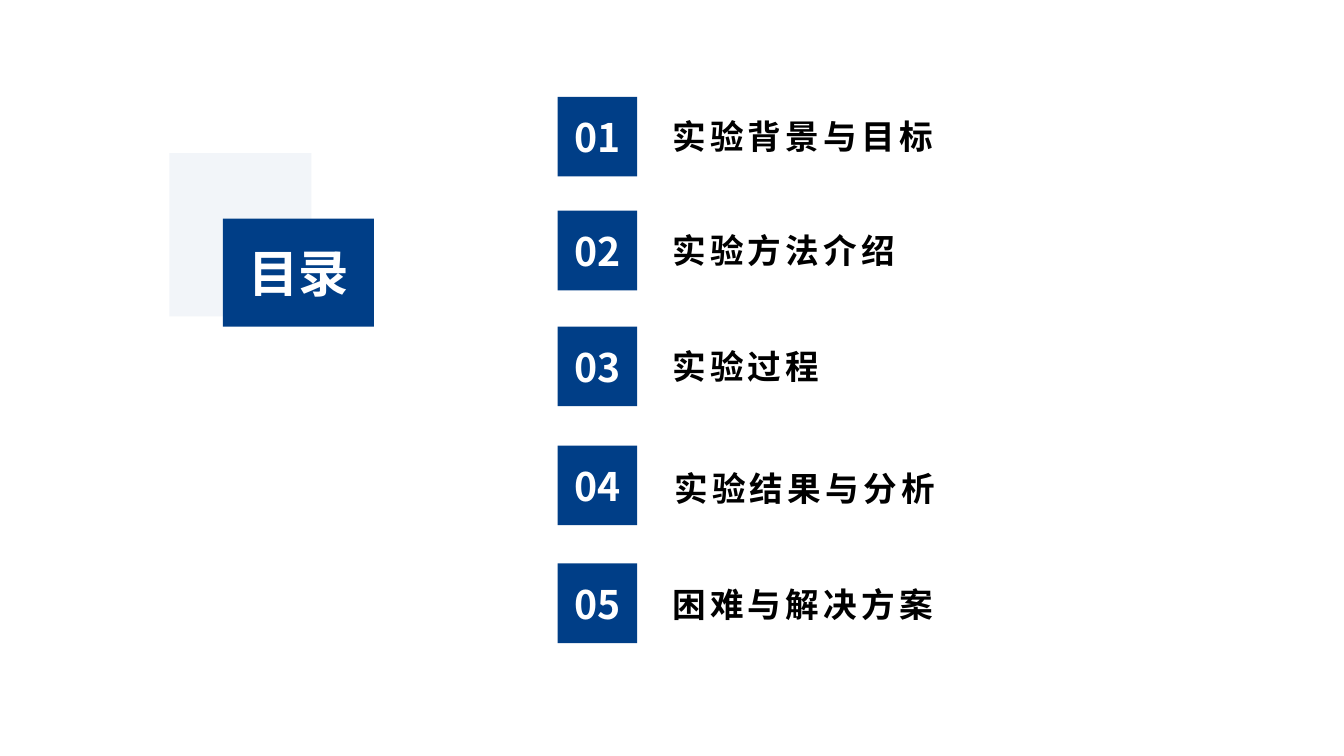
from dataclasses import dataclass

from lxml import etree
from pptx import Presentation
from pptx import util as u
from pptx.dml.color import RGBColor
from pptx.enum import shapes, text
from pptx.oxml.ns import qn

PX = u.Inches(1) // 100


@dataclass(frozen=True)
class Theme:
    font: str = "Noto Sans CJK SC"
    blue: str = "003E87"
    pale: str = "F2F5F9"
    white: str = "FFFFFF"
    black: str = "000000"
    title_size: int = 36
    number_size: int = 28
    label_size: int = 24
    label_spacing: int = 300  # hundredths of a point


THEME = Theme()

# square top, label left, label top, label width, label
CHAPTERS = [
    (96, 657, 110, 283, "实验背景与目标"),
    (209, 657, 223, 322, "实验方法介绍"),
    (324, 657, 338, 320, "实验过程"),
    (442, 659, 459, 320, "实验结果与分析"),
    (559, 657, 574, 357, "困难与解决方案"),
]


def px(*lengths):
    return [length * PX for length in lengths]


def write(shape, words, size, color, align, anchor, spacing=0):
    frame = shape.text_frame
    frame.word_wrap = True
    frame.auto_size = text.MSO_AUTO_SIZE.NONE
    frame.vertical_anchor = anchor
    frame.text = words
    paragraph = frame.paragraphs[0]
    paragraph.alignment = align
    paragraph.line_spacing = 1.0
    paragraph.space_before = u.Pt(0)
    font = paragraph.font
    font.name = THEME.font
    font.size = u.Pt(size)
    font.bold = True
    font.color.rgb = RGBColor.from_string(color)
    properties = paragraph._p.pPr.find(qn("a:defRPr"))
    latin = properties.find(qn("a:latin"))
    east_asian = etree.Element(qn("a:ea"), typeface=THEME.font)
    latin.addnext(east_asian)
    if spacing:
        properties.set("spc", str(spacing))


def add_block(slide, box, color):
    shape = slide.shapes.add_shape(shapes.MSO_SHAPE.RECTANGLE, *px(*box))
    shape.shadow.inherit = False
    shape.fill.solid()
    shape.fill.fore_color.rgb = RGBColor.from_string(color)
    shape.line.fill.background()
    return shape


def add_heading(slide, left, top):
    add_block(slide, (left, top, 141, 162), THEME.pale)
    add_block(slide, (left + 53, top + 65, 150, 107), THEME.blue)
    title = slide.shapes.title
    title.left, title.top, title.width, title.height = px(left + 35, top + 53, 186, 131)
    write(title, "目录", THEME.title_size, THEME.white,
          text.PP_ALIGN.CENTER, text.MSO_ANCHOR.MIDDLE)
    # The title has to lie in front of its blocks.
    slide.shapes._spTree.append(title._element)


def add_chapter(slide, number, square_box, label_box, label):
    square = add_block(slide, square_box, THEME.blue)
    write(square, f"{number:02}", THEME.number_size, THEME.white,
          text.PP_ALIGN.CENTER, text.MSO_ANCHOR.MIDDLE)
    label_shape = slide.shapes.add_textbox(*px(*label_box))
    write(label_shape, label, THEME.label_size, THEME.black,
          text.PP_ALIGN.LEFT, text.MSO_ANCHOR.TOP, THEME.label_spacing)


def add_contents_slide(presentation):
    slide = presentation.slides.add_slide(presentation.slide_layouts[5])
    add_heading(slide, 168, 152)
    for number, (top, left, label_top, width, label) in enumerate(CHAPTERS, 1):
        add_chapter(slide, number, (553, top, 79, 79),
                    (left, label_top, width, 50), label)


def main():
    presentation = Presentation()
    presentation.slide_width, presentation.slide_height = px(1333, 750)
    add_contents_slide(presentation)
    presentation.save("out.pptx")


if __name__ == "__main__":
    main()
